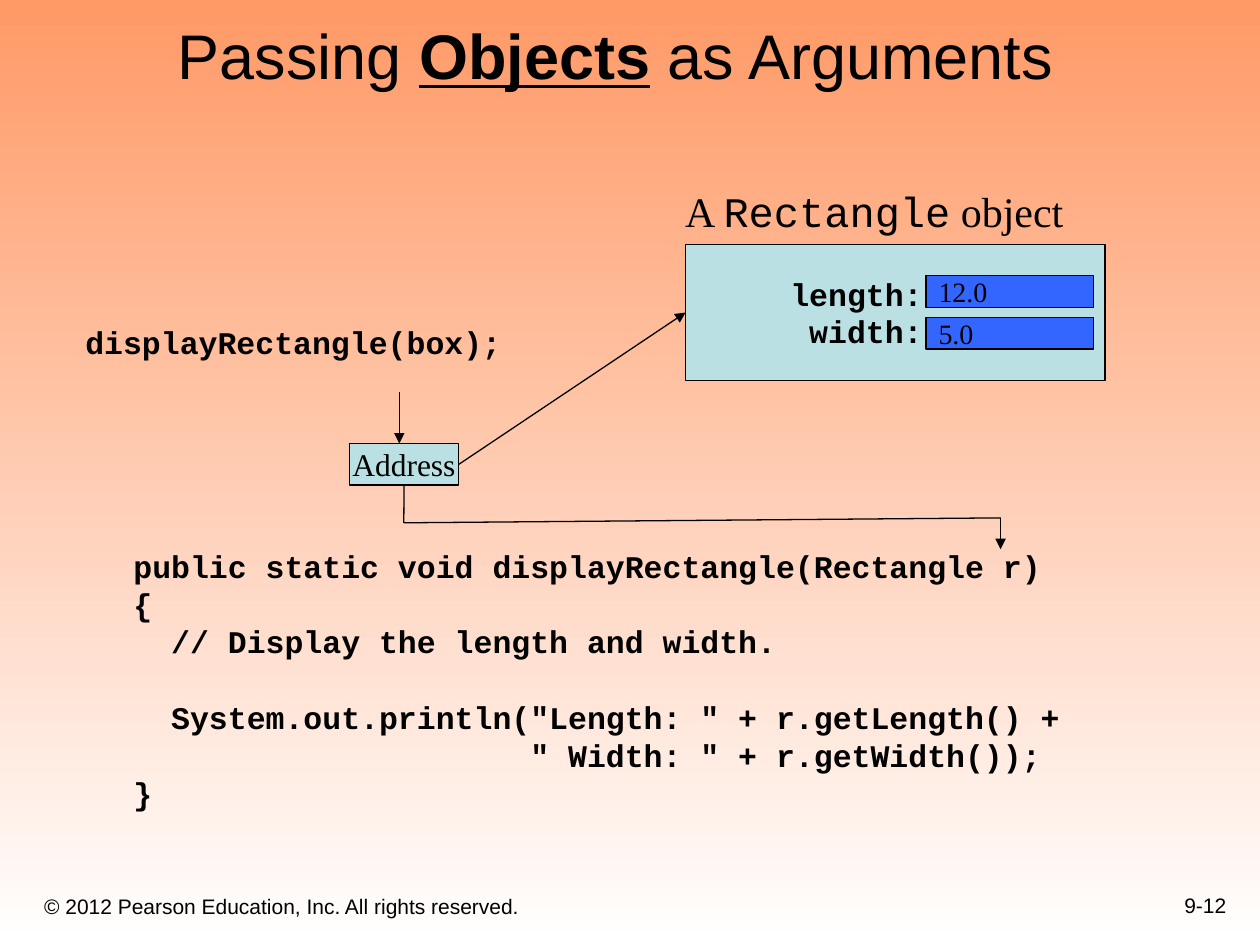
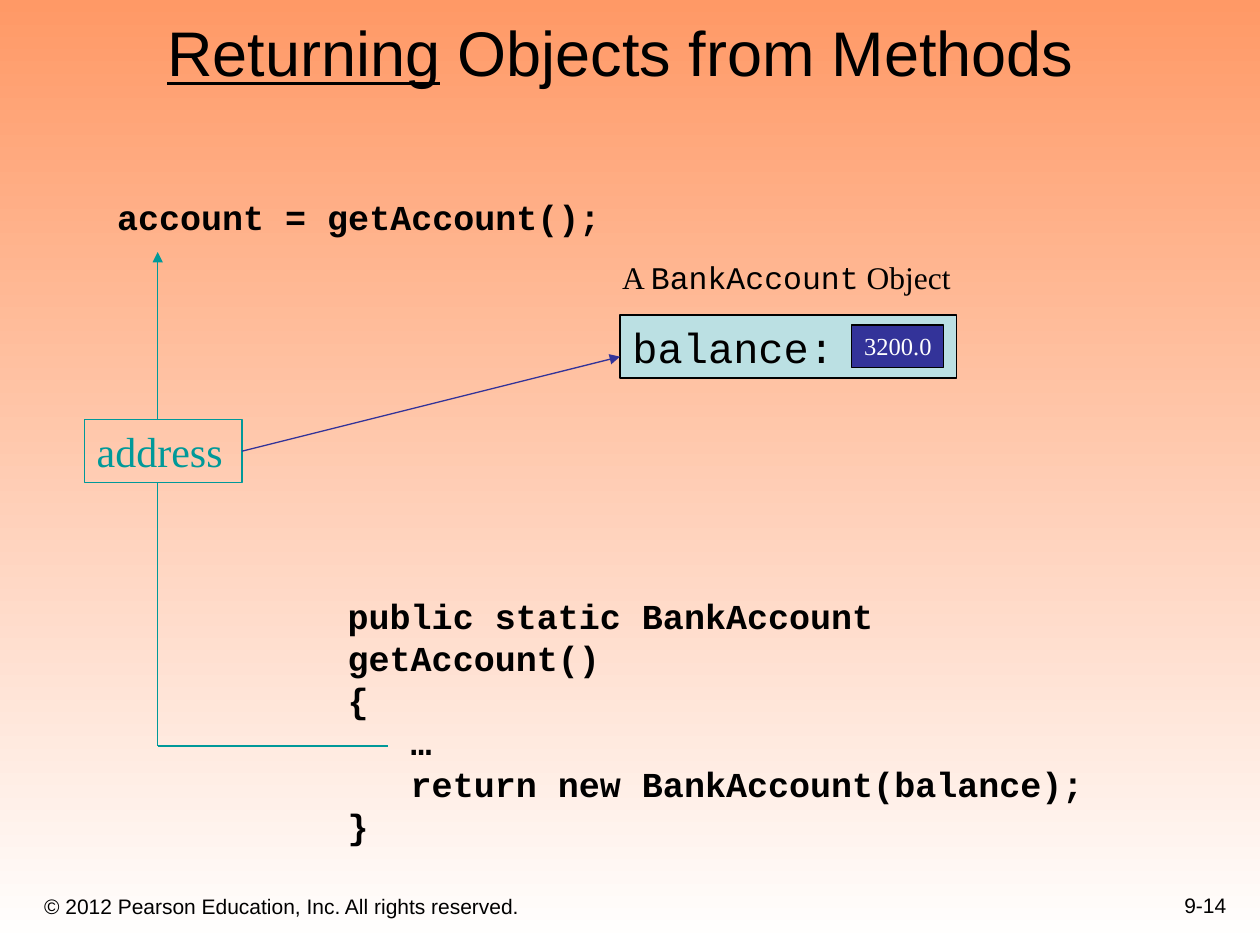
from dataclasses import dataclass

from lxml import etree
from pptx import Presentation
from pptx.dml.color import RGBColor
from pptx.enum import shapes, text
from pptx.oxml import ns
from pptx.util import Cm, Pt


@dataclass(frozen=True)
class Theme:
    sans: str = "Arial"
    mono: str = "Courier New"
    serif: str = "Times New Roman"
    black: str = "000000"
    white: str = "FFFFFF"
    sky: str = "FF9966"
    panel: str = "BBE0E3"
    field: str = "3366FF"
    navy: str = "333399"
    teal: str = "009999"
    title: int = 36
    large: int = 24
    code: int = 20
    body: int = 18
    value: int = 16
    small: int = 14
    footer: int = 12
    outline: float = 0.75
    code_leading: float = 1.2


theme = Theme()


def add_text(slide, box, lines, font, size, color=theme.black, bold=False, fill=None,
             outline=None, align=None, anchor=text.MSO_ANCHOR.TOP, wrap=True):
    lengths = [Cm(value) for value in box]
    if fill or outline:
        shape = slide.shapes.add_shape(shapes.MSO_SHAPE.RECTANGLE, *lengths)
        shape.shadow.inherit = False
        shape.line.color.rgb = RGBColor.from_string(outline)
        shape.line.width = Pt(theme.outline)
        if fill:
            shape.fill.solid()
            shape.fill.fore_color.rgb = RGBColor.from_string(fill)
        else:
            shape.fill.background()
    else:
        shape = slide.shapes.add_textbox(*lengths)
    frame = shape.text_frame
    frame.word_wrap = wrap
    frame.vertical_anchor = anchor
    for index, line in enumerate(lines):
        paragraph = frame.paragraphs[0] if index == 0 else frame.add_paragraph()
        paragraph.alignment = align or text.PP_ALIGN.LEFT
        if font == theme.mono and bold:
            paragraph.line_spacing = Pt(size * theme.code_leading)
        for piece in [(line, {})] if isinstance(line, str) else line:
            words, changes = piece
            run = paragraph.add_run()
            run.text = words
            run.font.name = changes.get("font", font)
            run.font.size = Pt(size)
            run.font.bold = changes.get("bold", bold)
            run.font.underline = changes.get("underline", False)
            run.font.color.rgb = RGBColor.from_string(color)
    return shape


def add_line(slide, start, end, color=theme.black, arrow=True, begin=None, finish=None):
    line = slide.shapes.add_connector(
        shapes.MSO_CONNECTOR.STRAIGHT, *[Cm(value) for value in (*start, *end)])
    line.line.color.rgb = RGBColor.from_string(color)
    line.line.width = Pt(theme.outline)
    if arrow:
        etree.SubElement(line.line._get_or_add_ln(), ns.qn("a:tailEnd"), type="triangle")
    etree.SubElement(line._element.spPr, ns.qn("a:effectLst"))
    if begin:
        line.begin_connect(*begin)
    if finish:
        line.end_connect(*finish)


presentation = Presentation()
presentation.slide_width = Cm(25.4)
presentation.slide_height = Cm(19.05)

background = presentation.slide_master.background.fill
background.gradient()
background.gradient_angle = 270
for stop, color in zip(background.gradient_stops, (theme.sky, theme.white)):
    stop.color.rgb = RGBColor.from_string(color)

middle, bottom = text.MSO_ANCHOR.MIDDLE, text.MSO_ANCHOR.BOTTOM
frames = [
    ("9-12", (3.33, 0.64, 18.42, 1.35),
     [("Passing ", {}), ("Objects", {"bold": True, "underline": True}), (" as Arguments", {})]),
    ("9-14", (3.12, 0.61, 20.9, 1.32),
     [("Returning", {"underline": True}), (" Objects from Methods", {})]),
]
for page, title_box, title in frames:
    slide = presentation.slides.add_slide(presentation.slide_layouts[6])
    add_text(slide, (0.64, 17.58, 15.44, 1.07),
             ["© 2012 Pearson Education, Inc. All rights reserved."],
             theme.sans, theme.footer, anchor=bottom)
    add_text(slide, (19.69, 17.35, 5.28, 1.27), [page], theme.sans, theme.footer,
             align=text.PP_ALIGN.RIGHT, anchor=bottom)
    add_text(slide, title_box, [title], theme.sans, theme.title, anchor=bottom)

passing, returning = presentation.slides

add_text(passing, (1.47, 6.38, 9.09, 1.02), ["displayRectangle(box);"],
         theme.mono, theme.body, bold=True)
display_method = add_text(passing, (2.44, 10.9, 19.18, 5.59), [
    "public static void displayRectangle(Rectangle r)",
    "{",
    "  // Display the length and width.",
    "  System.out.println(\"Length: \" + r.getLength() +",
    "                     \" Width: \" + r.getWidth());",
    "}",
], theme.mono, theme.body, bold=True, wrap=False)
display_method.text_frame.paragraphs[3].space_before = Pt(theme.body * theme.code_leading)

add_text(passing, (13.56, 3.61, 8.18, 1.27),
         [[("A ", {}), ("Rectangle", {"font": theme.mono}), (" object", {})]],
         theme.serif, theme.large, wrap=False)
rectangle_object = add_text(passing, (13.82, 4.93, 8.46, 2.74), ["length:", "width:"],
                            theme.mono, theme.body, bold=True, fill=theme.panel,
                            outline=theme.black, align=text.PP_ALIGN.RIGHT, anchor=middle)
rectangle_object.text_frame.margin_right = Cm(3.68)
for row, field_value in enumerate(["12.0", "5.0"]):
    add_text(passing, (18.67, 5.56 + 0.84 * row, 3.38, 0.64), [field_value],
             theme.serif, theme.value, fill=theme.field, outline=theme.black, anchor=middle)
address = add_text(passing, (7.04, 8.94, 2.21, 0.84), ["Address"], theme.serif, theme.body,
                   fill=theme.panel, outline=theme.black, align=text.PP_ALIGN.CENTER,
                   anchor=middle, wrap=False)

add_line(passing, (8.05, 7.9), (8.05, 8.94))
add_line(passing, (20.17, 10.44), (20.17, 11.07))
add_line(passing, (8.14, 9.78), (8.14, 10.54), arrow=False, begin=(address, 2))
add_line(passing, (8.14, 10.54), (20.17, 10.44), arrow=False)
add_line(passing, (9.25, 9.36), (13.82, 6.3), begin=(address, 3), finish=(rectangle_object, 1))

add_text(returning, (2.11, 3.81, 10.8, 1.12), ["account = getAccount();"],
         theme.mono, theme.code, bold=True)
add_text(returning, (6.76, 11.86, 16.61, 4.5), [
    "public static BankAccount getAccount()",
    "{",
    "   …",
    "   return new BankAccount(balance);",
    "}",
], theme.mono, theme.code, bold=True, wrap=False)
add_text(returning, (12.5, 6.35, 6.78, 1.27), ["balance:"], theme.mono, theme.large,
         fill=theme.panel, outline=theme.black)
add_text(returning, (17.17, 6.55, 1.85, 0.86), ["3200.0"], theme.serif, theme.small,
         theme.white, fill=theme.navy, outline=theme.black, wrap=False)
returned_address = add_text(returning, (1.7, 8.46, 3.18, 1.27), ["address"], theme.serif,
                            theme.large, theme.teal, outline=theme.teal)

add_line(returning, (3.18, 8.46), (3.18, 5.08), theme.teal)
add_line(returning, (7.82, 15.04), (3.18, 15.04), theme.teal, arrow=False)
add_line(returning, (3.18, 15.04), (3.18, 9.73), theme.teal, arrow=False)
add_line(returning, (4.88, 9.1), (12.5, 7.19), theme.navy, begin=(returned_address, 3))
add_text(returning, (12.29, 5.08, 7.16, 1.02),
         [[("A ", {}), ("BankAccount", {"font": theme.mono}), (" Object", {})]],
         theme.serif, theme.body, wrap=False)

presentation.save("out.pptx")
